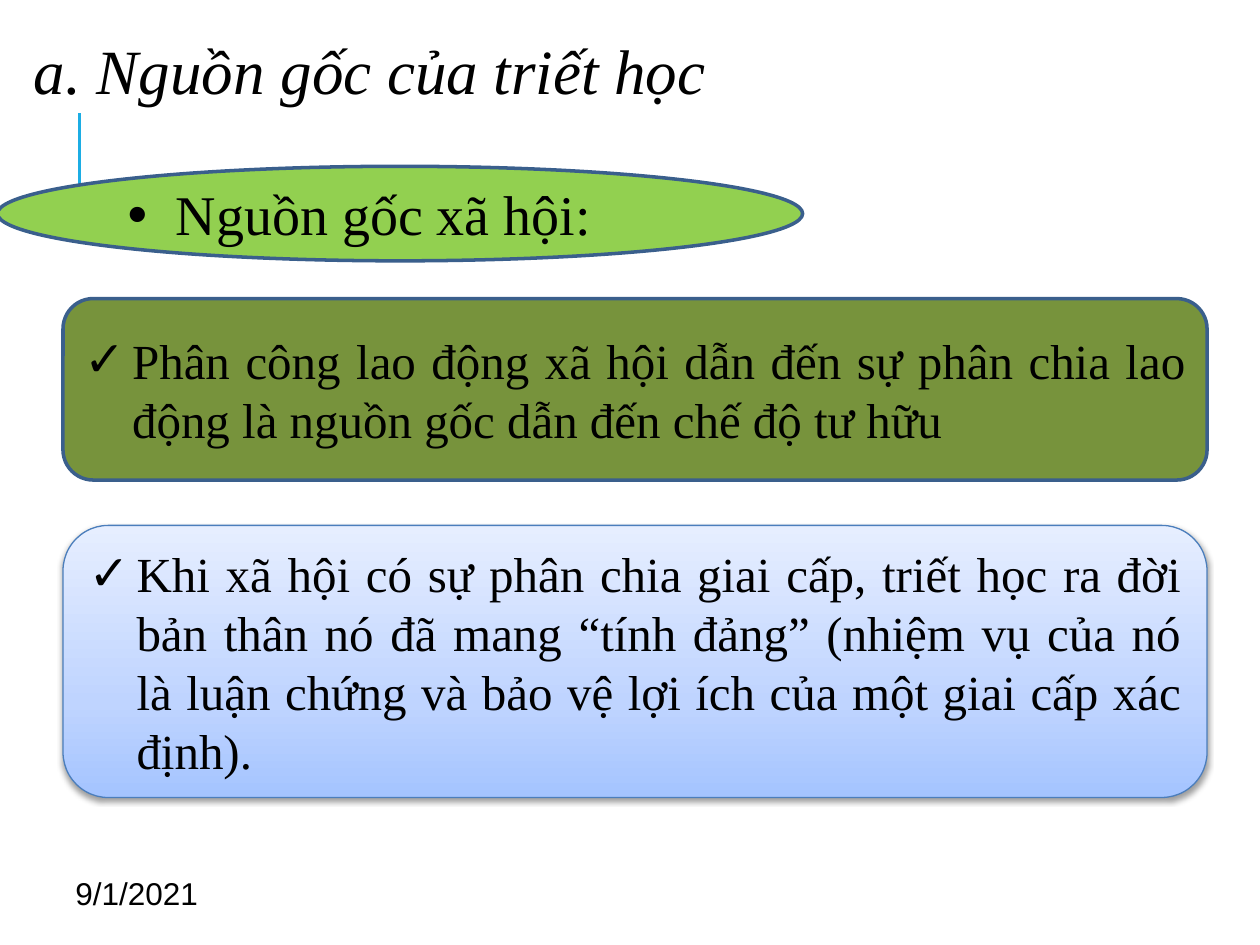
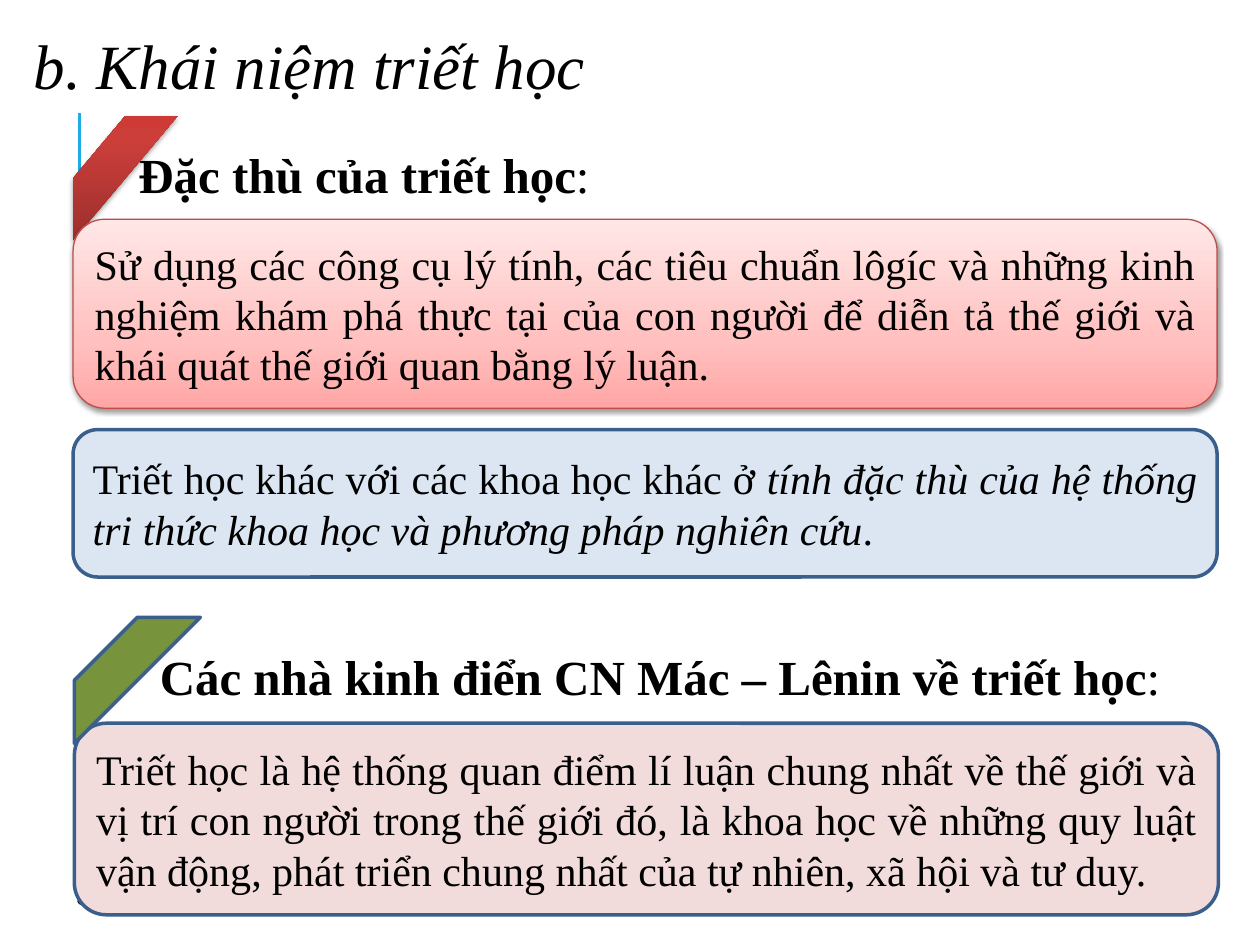
from lxml import etree
from pptx import Presentation
from pptx.dml.color import RGBColor
from pptx.enum.shapes import MSO_CONNECTOR, MSO_SHAPE
from pptx.enum.text import MSO_ANCHOR, MSO_AUTO_SIZE, PP_ALIGN
from pptx.oxml.ns import qn
from pptx.util import Inches, Pt

LINE = MSO_CONNECTOR.STRAIGHT
OVAL, PANEL, STRIPE = MSO_SHAPE.OVAL, MSO_SHAPE.ROUNDED_RECTANGLE, MSO_SHAPE.DIAGONAL_STRIPE
MIDDLE, TOP = MSO_ANCHOR.MIDDLE, MSO_ANCHOR.TOP
LEFT, JUSTIFY = PP_ALIGN.LEFT, PP_ALIGN.JUSTIFY
GROW = MSO_AUTO_SIZE.SHAPE_TO_FIT_TEXT

SERIF, SANS = "Times New Roman", "Arial"
BLACK, SKY, NAVY = "000000", "1CADE4", "3A5F8C"
LIME, OLIVE, PALE, ROSE = "92D050", "77933C", "DCE6F2", "F2DCDB"
BLUE, RED = "4B7EBC", "BF4C48"
BLUES = [(0, "A4C4FF"), (35, "BFD4FF"), (100, "E6EEFF")]
PINKS = [(0, "FFA6A5"), (35, "FFC0BF"), (100, "FFE7E7")]
REDS = [(0, "9C2F2D"), (80, "CB3E3A"), (100, "CE3B37")]
WIDE = 9.08


def color(code):
    return RGBColor.from_string(code)


def add(parent, tag, **attrs):
    return etree.SubElement(parent, qn(tag), {k: str(v) for k, v in attrs.items()})


def write(shape, text, size=24, font=SERIF, align=LEFT, anchor=MIDDLE,
          wrap=True, bold=False, italic=False, bullet=None, space=None):
    frame = shape.text_frame
    frame.word_wrap, frame.vertical_anchor = wrap, anchor
    if not wrap:
        frame.auto_size = GROW
    para = frame.paragraphs[0]
    para.alignment = align
    if space:
        para.line_spacing = space
    if bullet:
        props = para._p.get_or_add_pPr()
        props.set("marL", str(Inches(0.38)))
        props.set("indent", str(-Inches(0.38)))
        add(props, "a:buFont", typeface=SANS)
        add(props, "a:buChar", char=bullet)
    parts = [(text, {})] if isinstance(text, str) else text
    for words, style in parts:
        run = para.add_run()
        run.text = words
        run.font.name, run.font.size = font, Pt(size)
        run.font.color.rgb = color(BLACK)
        run.font.bold = style.get("bold", bold)
        run.font.italic = style.get("italic", italic)


class Deck:
    """Holds the shared style and the current slide."""

    def __init__(self):
        self.file = Presentation()
        self.file.slide_width, self.file.slide_height = Inches(10), Inches(7.5)
        self.slide = None

    def start(self, title, height):
        self.slide = self.file.slides.add_slide(self.file.slide_layouts[6])
        self.rule(0.63, 1.9, 0.9)
        self.label(title, 0.17, 0.17, 9.75, height, size=36, italic=True, space=0.9)
        self.label("9/1/2021", 0.5, 6.83, 2.33, 0.52, size=18, font=SANS)

    def rule(self, x, top, end):
        line = self.slide.shapes.add_connector(
            LINE, Inches(x), Inches(top), Inches(x), Inches(end))
        line.line.color.rgb, line.line.width = color(SKY), Pt(1.5)
        add(line._element.spPr, "a:effectLst")

    def label(self, text, x, y, w, h, **style):
        box = self.slide.shapes.add_textbox(Inches(x), Inches(y), Inches(w), Inches(h))
        write(box, text, **style)

    def head(self, text, x, y, w):
        parts = [(text, {"bold": True}), (":", {})]
        self.label(parts, x, y, w, 0.57, size=28, anchor=TOP, wrap=False)

    def shape(self, kind, x, y, w, h, fill, edge=NAVY, width=2):
        item = self.slide.shapes.add_shape(kind, Inches(x), Inches(y), Inches(w), Inches(h))
        item.shadow.inherit = False
        if edge:
            item.line.color.rgb, item.line.width = color(edge), Pt(width)
        else:
            item.line.fill.background()
        if isinstance(fill, str):
            item.fill.solid()
            item.fill.fore_color.rgb = color(fill)
        else:
            self.blend(item, fill)
        return item

    def blend(self, item, stops):
        item.fill.gradient()
        item.fill.gradient_angle = 90
        props = item._element.spPr
        ramp = props.find(".//" + qn("a:gsLst"))
        for stop in list(ramp):
            ramp.remove(stop)
        for place, code in stops:
            add(add(ramp, "a:gs", pos=place * 1000), "a:srgbClr", val=code)
        shade = add(props.find(qn("a:effectLst")), "a:outerShdw", blurRad=Pt(3.1),
                    dist=Pt(1.6), dir=5400000, rotWithShape=0)
        add(add(shade, "a:srgbClr", val=BLACK), "a:alpha", val=38000)

    def panel(self, text, x, y, h, fill, edge=NAVY, width=2, **style):
        item = self.shape(PANEL, x, y, WIDE, h, fill, edge, width)
        write(item, text, align=JUSTIFY, **style)


def origin(deck):
    deck.start("a. Nguồn gốc của triết học", 0.83)
    oval = deck.shape(OVAL, -0.02, 1.32, 6.39, 0.75, LIME)
    write(oval, "Nguồn gốc xã hội:", size=32, bullet="•")
    deck.panel("Phân công lao động xã hội dẫn đến sự phân chia lao động là nguồn gốc "
               "dẫn đến chế độ tư hữu", 0.5, 2.37, 1.44, OLIVE, size=28, bullet="✓")
    deck.panel("Khi xã hội có sự phân chia giai cấp, triết học ra đời bản thân nó đã mang "
               "“tính đảng” (nhiệm vụ của nó là luận chứng và bảo vệ lợi ích của một "
               "giai cấp xác định).", 0.5, 4.17, 2.16, BLUES, BLUE, 0.75,
               size=28, bullet="✓")


def concept(deck):
    deck.start("b. Khái niệm triết học", 0.75)
    deck.head("Đặc thù của triết học", 1, 1.1, 3.92)
    deck.shape(STRIPE, 0.58, 0.92, 0.83, 0.99, REDS, None)
    deck.panel("Sử dụng các công cụ lý tính, các tiêu chuẩn lôgíc và những kinh nghiệm "
               "khám phá thực tại của con người để diễn tả thế giới và khái quát thế giới "
               "quan bằng lý luận.", 0.58, 1.74, 1.5, PINKS, RED, 0.75)
    deck.panel([("Triết học khác với các khoa học khác ở ", {}),
                ("tính đặc thù của hệ thống tri thức khoa học và phương pháp nghiên cứu",
                 {"italic": True}),
                (".", {})], 0.58, 3.41, 1.17, PALE)
    deck.panel("Triết học là hệ thống quan điểm lí luận chung nhất về thế giới và vị trí "
               "con người trong thế giới đó, là khoa học về những quy luật vận động, phát "
               "triển chung nhất của tự nhiên, xã hội và tư duy.", 0.59, 5.74, 1.52, ROSE)
    deck.shape(STRIPE, 0.59, 4.9, 1, 1, OLIVE)
    deck.head("Các nhà kinh điển CN Mác – Lênin về triết học", 1.17, 5.08, 8.34)


def main():
    deck = Deck()
    origin(deck)
    concept(deck)
    deck.file.save("out.pptx")


if __name__ == "__main__":
    main()
